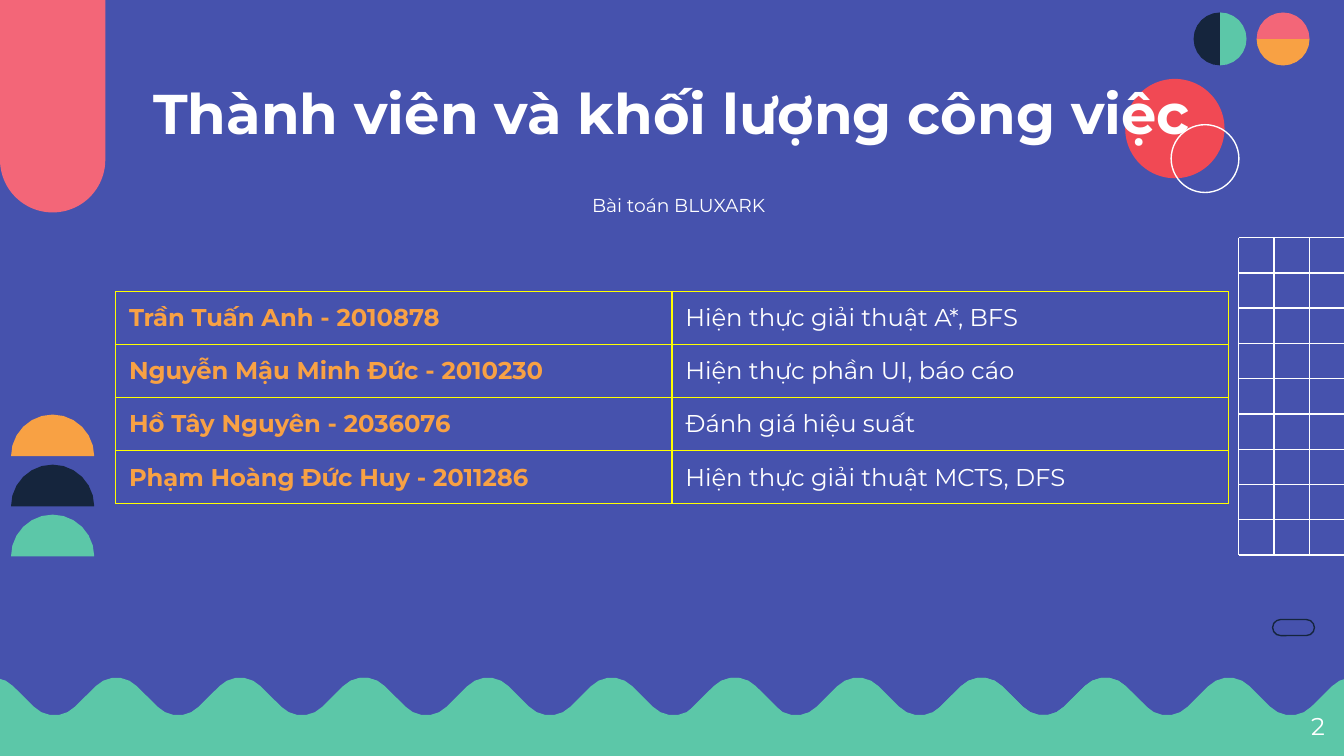
from math import cos, radians, sin

from lxml.etree import SubElement
from pptx import Presentation
from pptx.dml.color import RGBColor
from pptx.enum.shapes import MSO_CONNECTOR, MSO_SHAPE
from pptx.enum.text import MSO_ANCHOR, PP_ALIGN
from pptx.oxml.ns import qn
from pptx.util import Pt

FONT = "Montserrat"
BLUE = RGBColor(0x46, 0x52, 0xAD)
GREEN = RGBColor(0x5C, 0xC7, 0xA8)
PINK = RGBColor(0xF3, 0x66, 0x78)
ORANGE = RGBColor(0xF8, 0xA1, 0x44)
NAVY = RGBColor(0x15, 0x25, 0x3D)
RED = RGBColor(0xF1, 0x49, 0x54)
WHITE = RGBColor(0xFF, 0xFF, 0xFF)
YELLOW = RGBColor(0xFF, 0xFF, 0x00)

TITLE = "Thành viên và khối lượng công việc"
SUBTITLE = "Bài toán BLUXARK"
PAGE = "2"
MEMBERS = [
    ("Trần Tuấn Anh - 2010878", "Hiện thực giải thuật A*, BFS"),
    ("Nguyễn Mậu Minh Đức - 2010230", "Hiện thực phần UI, báo cáo"),
    ("Hồ Tây Nguyên - 2036076", "Đánh giá hiệu suất"),
    ("Phạm Hoàng Đức Huy - 2011286", "Hiện thực giải thuật MCTS, DFS"),
]
# centre x, centre y, radius, start angle (clockwise from east), colour
HALF_DISCS = [
    (28.2, 244.4, 22.3, 180, ORANGE),
    (28.2, 271.2, 22.3, 180, NAVY),
    (28.2, 298, 22.3, 180, GREEN),
    (687.4, 20.9, 14.2, 0, ORANGE),
    (687.4, 20.9, 14.2, 180, PINK),
    (653.6, 20.9, 14.2, 90, NAVY),
    (653.6, 20.9, 14.2, 270, GREEN),
]
WIDTH, HEIGHT = 720, 405
WAVE_LEFTS = (162, -37.1, 360.2, 492.7)
WAVE_TOP, WAVE_DEPTH, WAVE_BASE, PERIOD, BEND = 363, 20.2, 438.5, 66.27, 15.5
CRESTS = 4
SHOULDER = [(0, WAVE_BASE), (0, 396), (1.1, 390), (4.3, 385.2)]
GRID_LEFT, GRID_TOP, GRID_RIGHT, GRID_STEP = 663.6, 127.3, 738.6, 18.9
GRID_ROWS, GRID_COLUMNS = 9, 3
TABLE_LEFT, TABLE_TOP, COLUMN_WIDTH, ROW_HEIGHT = 61.9, 156.2, 298.1, 28.45


def paint(sp, fill=None, line=None):
    sp.shadow.inherit = False
    if fill is None:
        sp.fill.background()
    else:
        sp.fill.solid()
        sp.fill.fore_color.rgb = fill
    if line is None:
        sp.line.fill.background()
    else:
        sp.line.color.rgb = line
        sp.line.width = Pt(0.75)


def add_preset(shapes, kind, x, y, w, h, fill=None, line=None):
    sp = shapes.add_shape(kind, Pt(x), Pt(y), Pt(w), Pt(h))
    paint(sp, fill, line)
    return sp


def arc(cx, cy, radius, start, end, step):
    angles = [radians(a) for a in range(start, end + (1 if step > 0 else -1), step)]
    return [(cx + radius * cos(a), cy + radius * sin(a)) for a in angles]


def add_polygon(shapes, points, fill):
    points = [(Pt(x), Pt(y)) for x, y in points]
    builder = shapes.build_freeform(*points[0])
    builder.add_line_segments(points[1:], close=True)
    paint(builder.convert_to_shape(), fill)


def add_wave(shapes, left):
    """Crests and troughs as quarter arcs joined by 45 degree slopes."""
    right = left + CRESTS * PERIOD
    points = [(left + x, y) for x, y in SHOULDER]
    for i in range(CRESTS):
        crest = left + (i + 0.5) * PERIOD
        points += arc(crest, WAVE_TOP + BEND, BEND, 225, 315, 18)
        if i < CRESTS - 1:
            trough = crest + PERIOD / 2
            points += arc(trough, WAVE_TOP + WAVE_DEPTH - BEND, BEND, 135, 45, -18)
    points += [(right - x, y) for x, y in reversed(SHOULDER)]
    add_polygon(shapes, points, GREEN)


def add_line(shapes, x1, y1, x2, y2):
    ln = shapes.add_connector(MSO_CONNECTOR.STRAIGHT, Pt(x1), Pt(y1), Pt(x2), Pt(y2))
    ln.line.color.rgb = WHITE
    ln.line.width = Pt(0.75)
    SubElement(ln._element.spPr, qn("a:effectLst"))


def set_text(tf, text, size, color, align=PP_ALIGN.LEFT, bold=False):
    p = tf.paragraphs[0]
    p.text = text
    p.alignment = align
    p.font.name = FONT
    p.font.size = Pt(size)
    p.font.bold = bold
    p.font.color.rgb = color


def format_box(sp, x, y, w, h, anchor, right=7.2):
    sp.left, sp.top, sp.width, sp.height = Pt(x), Pt(y), Pt(w), Pt(h)
    tf = sp.text_frame
    tf.word_wrap = True
    tf.vertical_anchor = anchor
    tf.margin_left = tf.margin_top = tf.margin_bottom = Pt(7.2)
    tf.margin_right = Pt(right)
    return tf


def set_borders(cell, color):
    tc_pr = cell._tc.get_or_add_tcPr()
    for side in ("lnL", "lnR", "lnT", "lnB"):
        ln = SubElement(tc_pr, qn(f"a:{side}"), w=str(Pt(0.75)))
        fill = SubElement(ln, qn("a:solidFill"))
        SubElement(fill, qn("a:srgbClr"), val=str(color))


def add_decor(shapes):
    for left in WAVE_LEFTS:
        add_wave(shapes, left)

    tab = add_preset(shapes, MSO_SHAPE.ROUND_2_SAME_RECTANGLE, 0, -0.7, 56.4, 114.5, PINK)
    tab.adjustments[0] = 0.5
    tab.rotation = 180

    for cx, cy, radius, start, color in HALF_DISCS:
        add_polygon(shapes, arc(cx, cy, radius, start, start + 180, 15), color)

    bottom = GRID_TOP + GRID_ROWS * GRID_STEP
    for i in range(GRID_ROWS + 1):
        y = GRID_TOP + i * GRID_STEP
        add_line(shapes, GRID_LEFT, y, GRID_RIGHT, y)
    for i in range(GRID_COLUMNS):
        x = GRID_LEFT + i * GRID_STEP
        add_line(shapes, x, GRID_TOP, x, bottom)

    pill = add_preset(shapes, MSO_SHAPE.ROUNDED_RECTANGLE, 681.8, 331.9, 22.4, 8.6, line=NAVY)
    pill.adjustments[0] = 0.5


def add_members(shapes):
    table = shapes.add_table(
        len(MEMBERS), 2, Pt(TABLE_LEFT), Pt(TABLE_TOP),
        Pt(2 * COLUMN_WIDTH), Pt(len(MEMBERS) * ROW_HEIGHT),
    ).table
    table.first_row = table.horz_banding = False
    for column in table.columns:
        column.width = Pt(COLUMN_WIDTH)
    for r, member in enumerate(MEMBERS):
        table.rows[r].height = Pt(ROW_HEIGHT)
        for c, text in enumerate(member):
            cell = table.cell(r, c)
            set_borders(cell, YELLOW)
            cell.fill.background()
            cell.vertical_anchor = MSO_ANCHOR.MIDDLE
            cell.margin_left = cell.margin_right = Pt(7.2)
            cell.margin_top = cell.margin_bottom = 0
            set_text(cell.text_frame, text, 13, WHITE if c else ORANGE, bold=c == 0)


def main():
    prs = Presentation()
    prs.slide_width, prs.slide_height = Pt(WIDTH), Pt(HEIGHT)
    s = prs.slides.add_slide(prs.slide_layouts[5])
    s.background.fill.solid()
    s.background.fill.fore_color.rgb = BLUE
    shapes = s.shapes

    add_decor(shapes)
    add_members(shapes)

    subtitle = shapes.add_textbox(0, 0, 0, 0)
    tf = format_box(subtitle, 56.7, 95.4, 606.6, 28.8, MSO_ANCHOR.MIDDLE, right=0)
    set_text(tf, SUBTITLE, 10, WHITE, PP_ALIGN.CENTER)

    add_preset(shapes, MSO_SHAPE.OVAL, 602.8, 42.3, 53.2, 53.2, RED)
    add_preset(shapes, MSO_SHAPE.OVAL, 627.4, 66.8, 36.3, 36.3, line=WHITE)

    title = shapes.title
    tf = format_box(title, 56.7, 34.9, 606.6, 45.1, MSO_ANCHOR.TOP)
    set_text(tf, TITLE, 30, WHITE, PP_ALIGN.CENTER, bold=True)
    shapes._spTree.append(title._element)  # in front of the circles

    number = shapes.add_textbox(0, 0, 0, 0)
    tf = format_box(number, 673.6, 373.7, 43.2, 31, MSO_ANCHOR.TOP)
    set_text(tf, PAGE, 13, WHITE, PP_ALIGN.RIGHT)

    prs.save("out.pptx")


if __name__ == "__main__":
    main()
